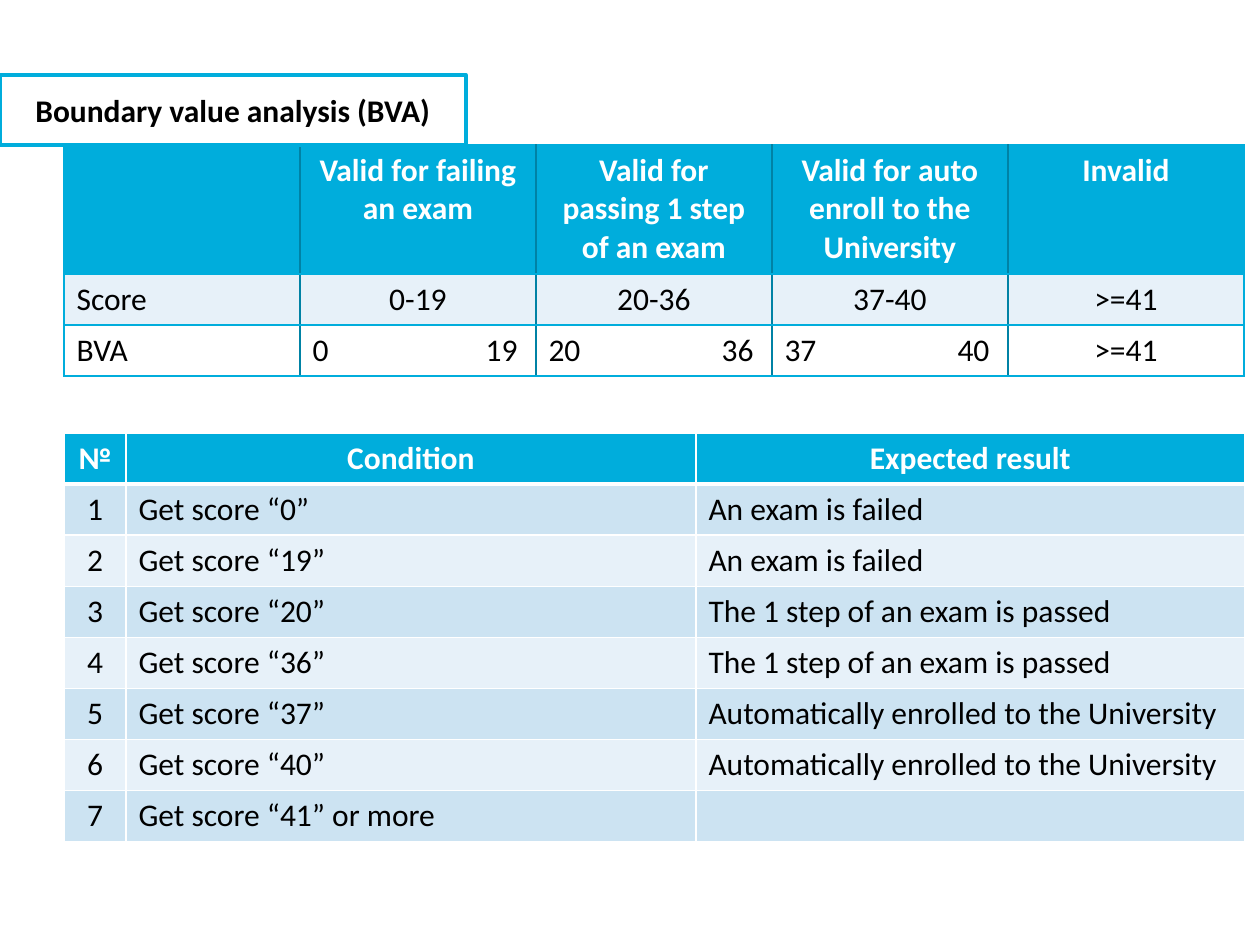
from dataclasses import dataclass
from typing import Callable

from lxml.etree import SubElement
from pptx import Presentation
from pptx.dml.color import RGBColor
from pptx.enum.shapes import MSO_SHAPE
from pptx.enum.text import MSO_ANCHOR, PP_ALIGN
from pptx.oxml.ns import qn
from pptx.util import Pt

EMU_PER_PIXEL = 914400 // 126
CYAN, TEAL, WHITE, BLACK = "00ADDC", "0082A5", "FFFFFF", "000000"
PALE, LIGHT = "E7F1F9", "CCE3F2"
BOUNDARY_TAB = 205


@dataclass
class Border:
    color: str
    width: float = 1


@dataclass
class TableSpec:
    left: int
    top: int
    widths: list[int]
    heights: list[int]
    rows: list[list[str]]
    bands: list[str]
    centred: Callable[[int, int], bool]
    borders: Callable[[int, int], list[Border]]


def px(length: float) -> int:
    return round(length * EMU_PER_PIXEL)


def rgb(color: str) -> RGBColor:
    return RGBColor.from_string(color)


def write(paragraph, text: str, color: str, bold: bool, centred: bool) -> None:
    paragraph.text = text
    paragraph.alignment = PP_ALIGN.CENTER if centred else PP_ALIGN.LEFT
    if "\t" in text:
        tabs = SubElement(paragraph._p.get_or_add_pPr(), qn("a:tabLst"))
        SubElement(tabs, qn("a:tab"), pos=str(px(BOUNDARY_TAB)), algn="r")
    font = paragraph.font
    font.name, font.size, font.bold = "Calibri", Pt(18), bold
    font.color.rgb = rgb(color)


def set_borders(cell, borders: list[Border]) -> None:
    properties = cell._tc.get_or_add_tcPr()
    for side, border in zip("LRTB", borders):
        line = SubElement(properties, qn(f"a:ln{side}"), w=str(Pt(border.width)))
        fill = SubElement(line, qn("a:solidFill"))
        SubElement(fill, qn("a:srgbClr"), val=border.color)


def draw_table(slide, spec: TableSpec) -> None:
    table = slide.shapes.add_table(
        len(spec.heights), len(spec.widths), px(spec.left), px(spec.top),
        px(sum(spec.widths)), px(sum(spec.heights))).table
    for column, width in zip(table.columns, spec.widths):
        column.width = px(width)
    for row, height in zip(table.rows, spec.heights):
        row.height = px(height)
    for row, texts in enumerate(spec.rows):
        header = row == 0
        for column, text in enumerate(texts):
            cell = table.cell(row, column)
            set_borders(cell, spec.borders(row, column))
            cell.fill.solid()
            cell.fill.fore_color.rgb = rgb(spec.bands[row])
            write(cell.text_frame.paragraphs[0], text, WHITE if header else BLACK,
                  header, header or spec.centred(row, column))


def draw_title(slide, text: str) -> None:
    shape = slide.shapes.add_shape(MSO_SHAPE.RECTANGLE, 0, px(75), px(466), px(70))
    shape.shadow.inherit = False
    shape.fill.solid()
    shape.fill.fore_color.rgb = rgb(WHITE)
    shape.line.color.rgb = rgb(CYAN)
    shape.line.width = Pt(2)
    shape.text_frame.word_wrap = True
    shape.text_frame.vertical_anchor = MSO_ANCHOR.MIDDLE
    write(shape.text_frame.paragraphs[0], text, BLACK, True, True)


def boundary_borders(row: int, column: int) -> list[Border]:
    left = Border(CYAN if column == 0 else TEAL)
    right = Border(CYAN if column == 4 else TEAL)
    return [left, right, Border(CYAN), Border(CYAN)]


def condition_borders(row: int, column: int) -> list[Border]:
    return [Border(WHITE), Border(WHITE), Border(WHITE, 3 if row == 1 else 1),
            Border(WHITE, 3 if row == 0 else 1)]


FAILED = "An exam is failed"
PASSED = "The 1 step of an exam is passed"
ENROLLED = "Automatically enrolled to the University"
CASES = [("“0”", FAILED), ("“19”", FAILED), ("“20”", PASSED), ("“36”", PASSED),
         ("“37”", ENROLLED), ("“40”", ENROLLED), ("“41” or more", "")]

boundary_table = TableSpec(
    left=64, top=145, widths=[236] * 5, heights=[129, 51, 51],
    rows=[
        ["", "Valid for failing an exam", "Valid for passing 1 step of an exam",
         "Valid for auto enroll to the University", "Invalid"],
        ["Score", "0-19", "20-36", "37-40", ">=41"],
        ["BVA", "0\t19", "20\t36", "37\t40", ">=41"],
    ],
    bands=[CYAN, PALE, WHITE],
    centred=lambda row, column: column == 4 or (row == 1 and column > 0),
    borders=boundary_borders)

condition_table = TableSpec(
    left=64, top=433, widths=[62, 570, 549], heights=[51] * 8,
    rows=[["№", "Condition", "Expected result"]] + [
        [str(number), f"Get score {score}", result]
        for number, (score, result) in enumerate(CASES, 1)],
    bands=[CYAN] + [LIGHT if index % 2 == 0 else PALE for index in range(len(CASES))],
    centred=lambda row, column: column == 0,
    borders=condition_borders)

presentation = Presentation()
presentation.slide_width, presentation.slide_height = px(1260), px(945)
slide = presentation.slides.add_slide(presentation.slide_layouts[6])
draw_table(slide, boundary_table)
draw_title(slide, "Boundary value analysis (BVA)")
draw_table(slide, condition_table)
presentation.save("out.pptx")
